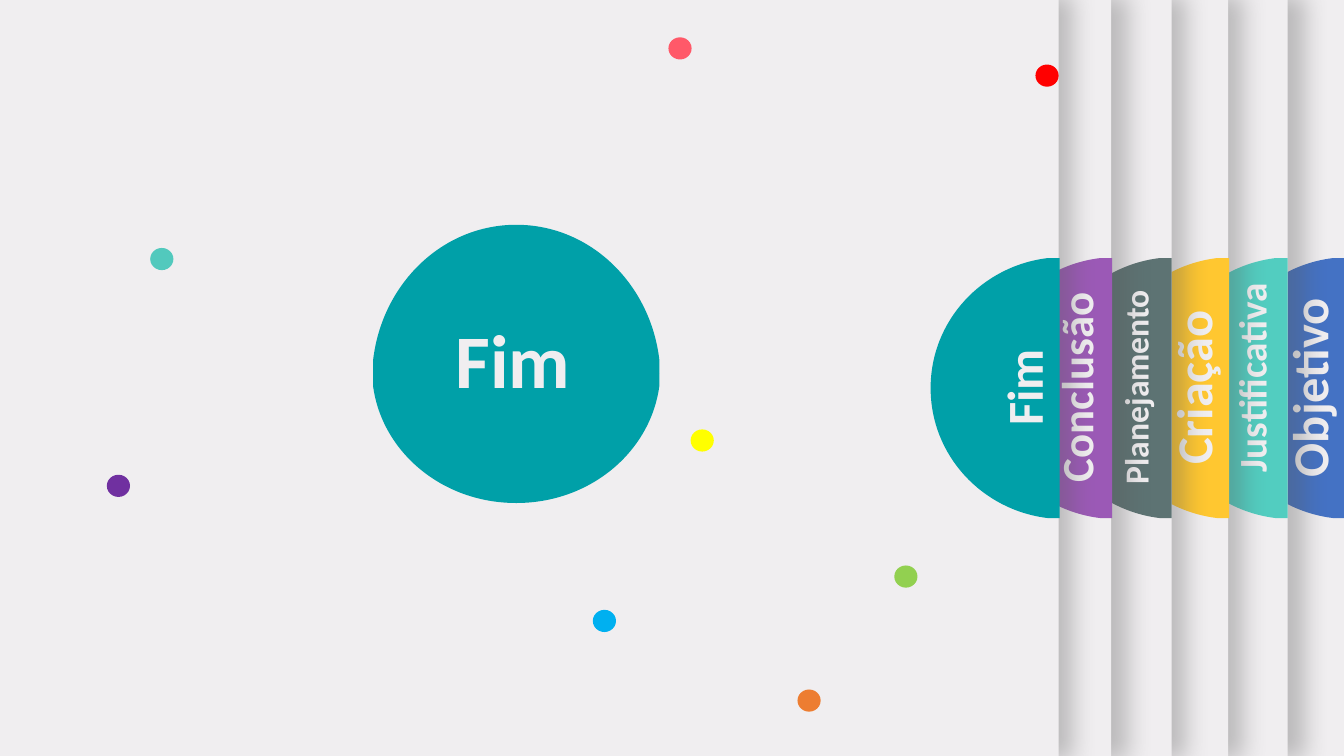
import itertools
from dataclasses import dataclass

import lxml.etree
import pptx
import pptx.dml.color
import pptx.enum.shapes
import pptx.enum.text
import pptx.oxml.ns
import pptx.shapes.autoshape
import pptx.shapes.shapetree
import pptx.slide
import pptx.text.text
import pptx.util

Inches = pptx.util.Inches
qn = pptx.oxml.ns.qn

COLORS = {
    "paper": "F0EEF0",
    "shadow": "595959",
    "blue": "4472C4",
    "turquoise": "52CDC0",
    "amber": "FFC730",
    "slate": "5D7373",
    "violet": "9B59B6",
    "teal": "00A0A8",
    "mint": "52C9BD",
    "purple": "7030A0",
    "coral": "FF5969",
    "green": "92D050",
    "sky": "00B0F0",
    "yellow": "FFFF00",
    "red": "FF0000",
    "orange": "ED7D31",
}
FONT = "Calibri"
SLIDE_WIDTH = 13.33
SLIDE_HEIGHT = 7.5
TAB_TOP = 2.56
TAB_WIDTH = 1.28
TAB_HEIGHT = 2.58
LABEL_WIDTH = 2.18
LABEL_OFFSET = 0.17
DOT_WIDTH = 0.23
DOT_HEIGHT = 0.22
OUTLINE = [(1, 0), (1, 1), (0.91, 1), (0, 0.5), (0.91, 0)]
CURVE_HANDLES = [[(0.4, 0.97), (0, 0.76)], [(0, 0.24), (0.4, 0.03)]]


@dataclass
class Panel:
    label: str
    left: float
    width: float
    tab_left: float
    color: str
    size: int
    label_top: float
    label_height: float


@dataclass
class Dot:
    left: float
    top: float
    color: str


@dataclass
class HalfDisc:
    left: float
    top: float
    width: float
    height: float
    color: str
    rotation: int = 0


PANELS = [
    Panel("Objetivo", -0.32, 13.65, 12.06, "blue", 36, 3.49, 0.71),
    Panel("Justificativa", 0.25, 12.52, 11.49, "turquoise", 28, 3.46, 0.57),
    Panel("Criação", 1.29, 10.89, 10.91, "amber", 36, 3.49, 0.71),
    Panel("Planejamento", 1.15, 10.47, 10.34, "slate", 24, 3.59, 0.5),
    Panel("Conclusão", -1.95, 12.97, 9.75, "violet", 32, 3.52, 0.64),
    Panel("Fim", -0.35, 10.85, 9.23, "teal", 36, 3.49, 0.71),
]
DOTS = [
    Dot(1.49, 2.46, "mint"),
    Dot(1.06, 4.71, "purple"),
    Dot(6.63, 0.37, "coral"),
    Dot(8.87, 5.61, "green"),
    Dot(5.88, 6.05, "sky"),
    Dot(6.85, 4.26, "yellow"),
    Dot(10.27, 0.64, "red"),
    Dot(7.91, 6.84, "orange"),
]
DISC_HALVES = [
    HalfDisc(4.48, 2.93, 1.28, 2.84, "teal", 270),
    HalfDisc(4.38, 1.55, 1.48, 2.84, "teal", 90),
]


def rgb(name: str) -> pptx.dml.color.RGBColor:
    return pptx.dml.color.RGBColor.from_string(COLORS[name])


def paint(shape: pptx.shapes.autoshape.Shape, color: str) -> None:
    shape.shadow.inherit = False
    shape.fill.solid()
    shape.fill.fore_color.rgb = rgb(color)
    shape.line.fill.background()


def add_side_shadow(shape: pptx.shapes.autoshape.Shape) -> None:
    effects = shape.element.spPr.find(qn("a:effectLst"))
    shadow = lxml.etree.SubElement(
        effects,
        qn("a:outerShdw"),
        blurRad=str(pptx.util.Pt(17)),
        dist=str(pptx.util.Pt(3)),
        dir="0",
        sx="101000",
        sy="101000",
        algn="l",
        rotWithShape="0",
    )
    color = lxml.etree.SubElement(shadow, qn("a:srgbClr"), val=COLORS["shadow"])
    lxml.etree.SubElement(color, qn("a:alpha"), val="35000")


def add_half_disc(
    shapes: pptx.shapes.shapetree.GroupShapes | pptx.shapes.shapetree.SlideShapes,
    half: HalfDisc,
) -> None:
    width, height = Inches(half.width), Inches(half.height)
    points = [
        (Inches(half.left) + x * width, Inches(half.top) + y * height)
        for x, y in OUTLINE
    ]
    builder = shapes.build_freeform(*points[0])
    builder.add_line_segments(points[1:], close=True)
    shape = builder.convert_to_shape()
    lines = list(shape.element.iter(qn("a:lnTo")))
    for line, handles in zip(lines[2:4], CURVE_HANDLES):
        line.tag = qn("a:cubicBezTo")
        for index, (x, y) in enumerate(handles):
            handle = lxml.etree.Element(
                qn("a:pt"), x=str(round(x * width)), y=str(round(y * height))
            )
            line.insert(index, handle)
    shape.rotation = half.rotation
    paint(shape, half.color)


def write_label(text_frame: pptx.text.text.TextFrame, text: str, size: int) -> None:
    text_frame.text = text
    text_frame.word_wrap = True
    text_frame.auto_size = pptx.enum.text.MSO_AUTO_SIZE.SHAPE_TO_FIT_TEXT
    text_frame.vertical_anchor = pptx.enum.text.MSO_ANCHOR.TOP
    paragraph = text_frame.paragraphs[0]
    paragraph.alignment = pptx.enum.text.PP_ALIGN.CENTER
    font = paragraph.runs[0].font
    font.name = FONT
    font.size = pptx.util.Pt(size)
    font.bold = True
    font.color.rgb = rgb("paper")


def add_panel(slide: pptx.slide.Slide, panel: Panel) -> None:
    shapes = slide.shapes.add_group_shape().shapes
    sheet = shapes.add_shape(
        pptx.enum.shapes.MSO_SHAPE.RECTANGLE,
        Inches(panel.left),
        Inches(0),
        Inches(panel.width),
        Inches(SLIDE_HEIGHT),
    )
    paint(sheet, "paper")
    add_side_shadow(sheet)
    add_half_disc(
        shapes, HalfDisc(panel.tab_left, TAB_TOP, TAB_WIDTH, TAB_HEIGHT, panel.color)
    )
    label = shapes.add_textbox(
        Inches(panel.tab_left - LABEL_OFFSET),
        Inches(panel.label_top),
        Inches(LABEL_WIDTH),
        Inches(panel.label_height),
    )
    label.rotation = 270
    write_label(label.text_frame, panel.label, panel.size)


def add_dot(slide: pptx.slide.Slide, dot: Dot) -> None:
    shape = slide.shapes.add_shape(
        pptx.enum.shapes.MSO_SHAPE.OVAL,
        Inches(dot.left),
        Inches(dot.top),
        Inches(DOT_WIDTH),
        Inches(DOT_HEIGHT),
    )
    paint(shape, dot.color)


def place_title(slide: pptx.slide.Slide) -> None:
    title = slide.shapes.title
    title.left, title.top = Inches(4.1), Inches(3.05)
    title.width, title.height = Inches(1.98), Inches(1.01)
    write_label(title.text_frame, "Fim", 54)
    title.element.getparent().append(title.element)


def main() -> None:
    presentation = pptx.Presentation()
    presentation.slide_width = Inches(SLIDE_WIDTH)
    presentation.slide_height = Inches(SLIDE_HEIGHT)
    slide = presentation.slides.add_slide(presentation.slide_layouts[5])
    slide.background.fill.solid()
    slide.background.fill.fore_color.rgb = rgb("paper")
    for panel in PANELS:
        add_panel(slide, panel)
    for dot in DOTS:
        add_dot(slide, dot)
    for half in DISC_HALVES:
        add_half_disc(slide.shapes, half)
    place_title(slide)
    presentation.save("out.pptx")


if __name__ == "__main__":
    main()
